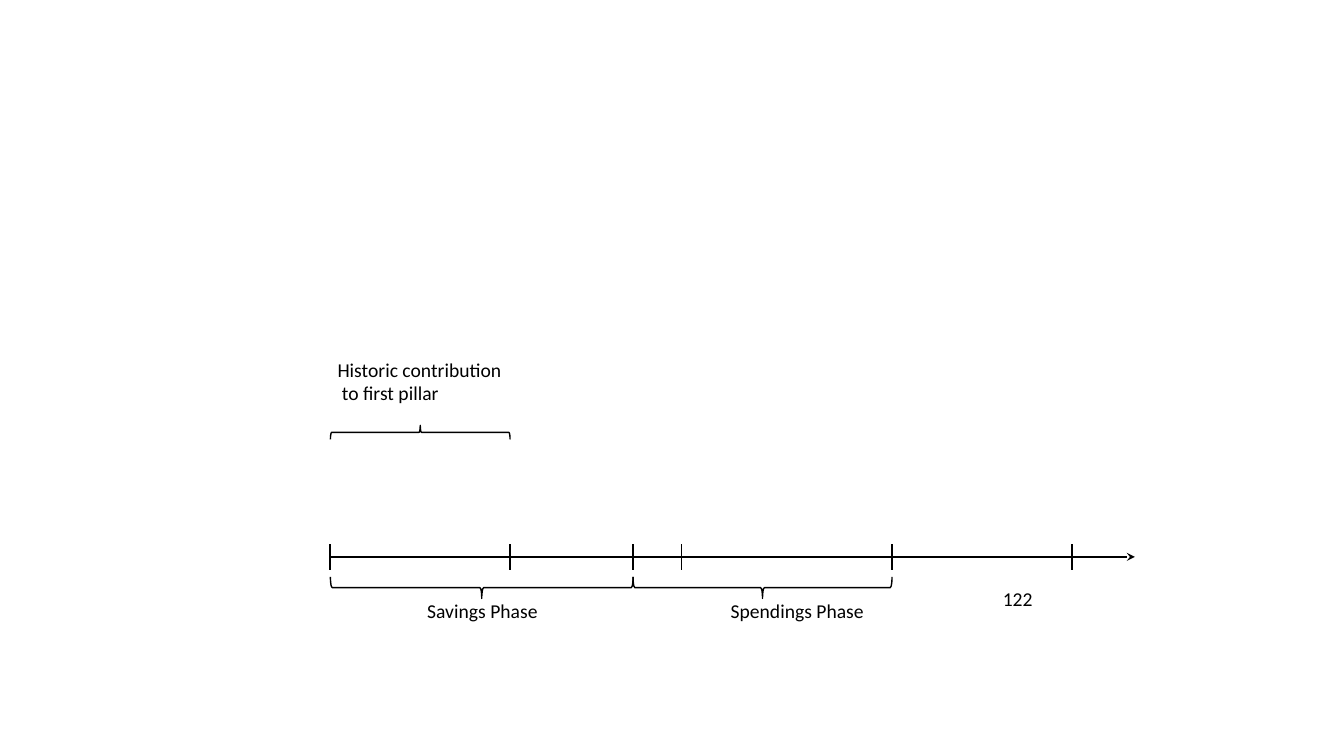
from lxml import etree
from pptx import Presentation
from pptx.dml.color import RGBColor
from pptx.enum.shapes import MSO_CONNECTOR as CONNECTOR, MSO_SHAPE as SHAPE
from pptx.enum.text import MSO_AUTO_SIZE as AUTO_SIZE
from pptx.oxml.ns import qn
from pptx.util import Pt

COLORS = {"ink": "000000"}
FONT = "Calibri"

# Distances along the time axis, measured from its start
START, TODAY, RETIREMENT, CHECKPOINT, SPENDING_END, LAST_DATE = (
    0, 128.3, 216.2, 250.7, 401.2, 530)
TICKS = [(START, 1.5), (TODAY, 1), (RETIREMENT, 1.5),
         (CHECKPOINT, 1), (SPENDING_END, 1.5), (LAST_DATE, 1.5)]
TICK_LENGTH = 18


def add_text(slide, text, left, top, width, height, size=14, color="ink"):
    label = slide.shapes.add_textbox(Pt(left), Pt(top), Pt(width), Pt(height))
    frame = label.text_frame
    frame.word_wrap = False
    frame.auto_size = AUTO_SIZE.SHAPE_TO_FIT_TEXT
    frame.text = text
    for run in frame.paragraphs[0].runs:
        run.font.name = FONT
        run.font.size = Pt(size)
        run.font.color.rgb = RGBColor.from_string(COLORS[color])


def add_line(slide, x1, y1, x2, y2, weight=1.5, arrow=False):
    line = slide.shapes.add_connector(
        CONNECTOR.STRAIGHT, Pt(x1), Pt(y1), Pt(x2), Pt(y2))
    line.line.width = Pt(weight)
    line.line.color.rgb = RGBColor.from_string(COLORS["ink"])
    if arrow:
        etree.SubElement(line.line._get_or_add_ln(), qn("a:tailEnd"), type="stealth")
    etree.SubElement(line._element.spPr, qn("a:effectLst"))


def add_brace(slide, left, top, width, depth, rotation):
    """Lay a left brace flat so that it fills the given box on the slide."""
    brace = slide.shapes.add_shape(
        SHAPE.LEFT_BRACE,
        Pt(left + (width - depth) / 2), Pt(top + (depth - width) / 2),
        Pt(depth), Pt(width))
    brace.rotation = rotation
    brace.shadow.inherit = False
    brace.fill.background()
    brace.line.width = Pt(1)
    brace.line.color.rgb = RGBColor.from_string(COLORS["ink"])


def add_time_axis(slide, left, axis_y, length):
    add_line(slide, left, axis_y, left + length, axis_y, arrow=True)
    for offset, weight in TICKS:
        x = left + offset
        tick_top = axis_y - TICK_LENGTH / 2
        add_line(slide, x, tick_top, x, tick_top + TICK_LENGTH, weight)
    add_text(slide, "122", left + 473.2, axis_y + 17.6, 36, 24.5)


def add_phases(slide, left, top):
    phases = [("Savings Phase", START, RETIREMENT, 62, 94.3),
              ("Spendings Phase", RETIREMENT, SPENDING_END, 278.8, 110.9)]
    for name, begin, end, label_offset, label_width in phases:
        add_brace(slide, left + begin, top, end - begin, 15.5, 270)
        add_text(slide, name, left + label_offset, top + 12.1, label_width, 24.5)


def add_history(slide, left, top):
    add_text(slide, "Historic contribution\v to first pillar",
             left - 2, top, 133.2, 41)
    add_brace(slide, left + START, top + 51.8, TODAY - START, 10.1, 90)


def main():
    deck = Presentation()
    deck.slide_width, deck.slide_height = Pt(960), Pt(540)
    slide = deck.slides.add_slide(deck.slide_layouts[6])
    left, axis_y = 236, 397.8
    add_time_axis(slide, left, axis_y, 574.7)
    add_phases(slide, left, axis_y + 14.2)
    add_history(slide, left, axis_y - 145.8)
    deck.save("out.pptx")


if __name__ == "__main__":
    main()
